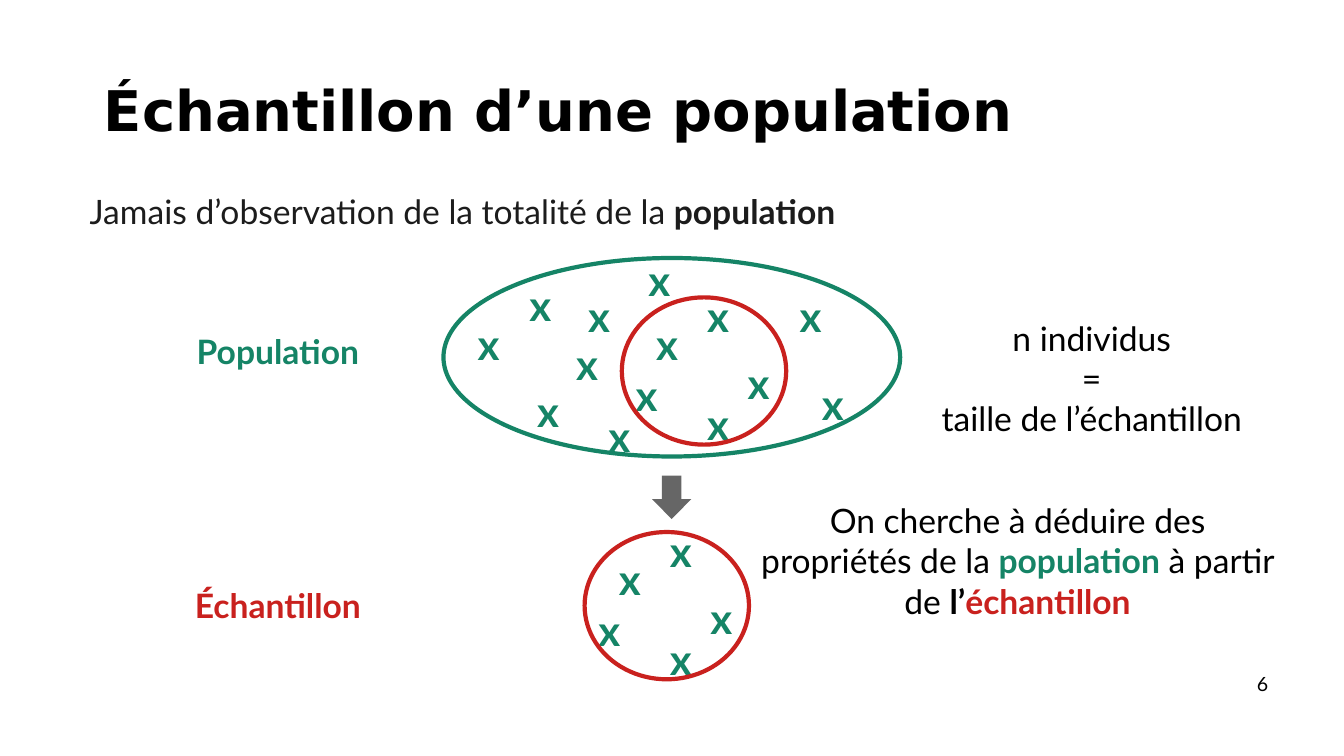
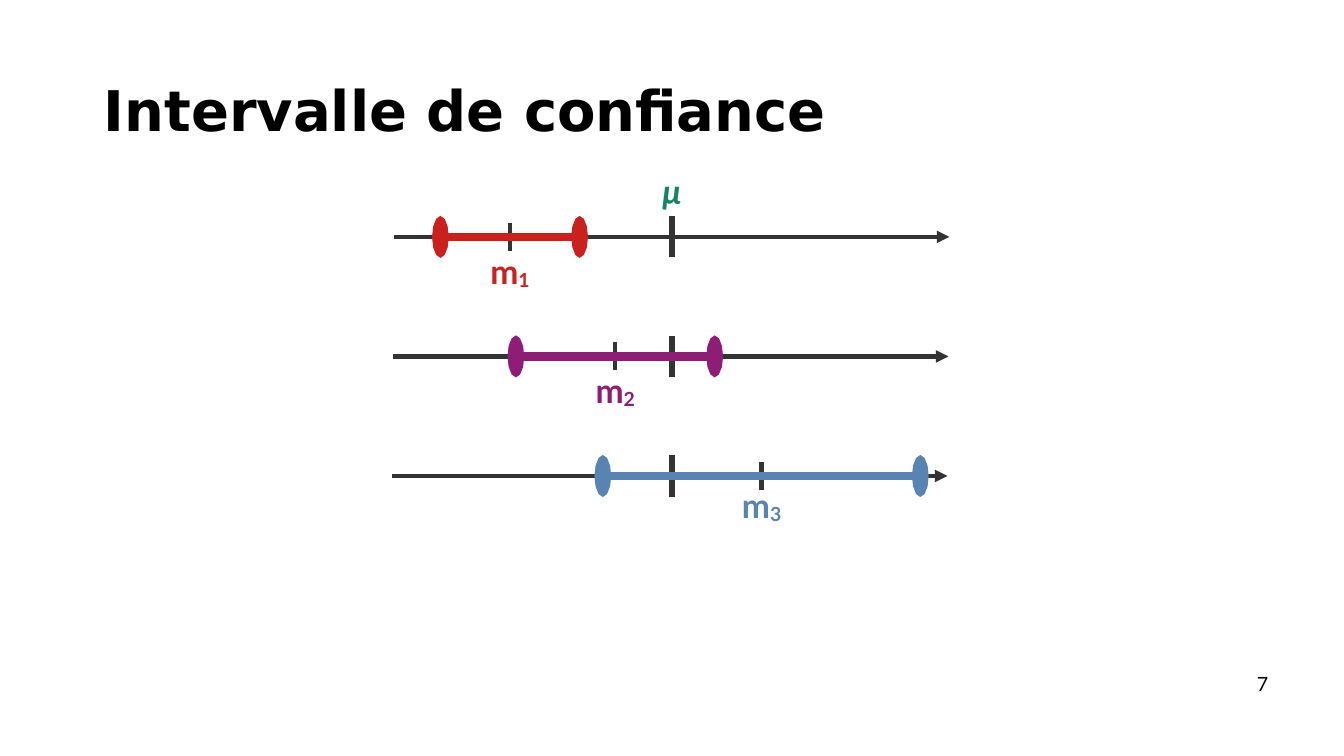
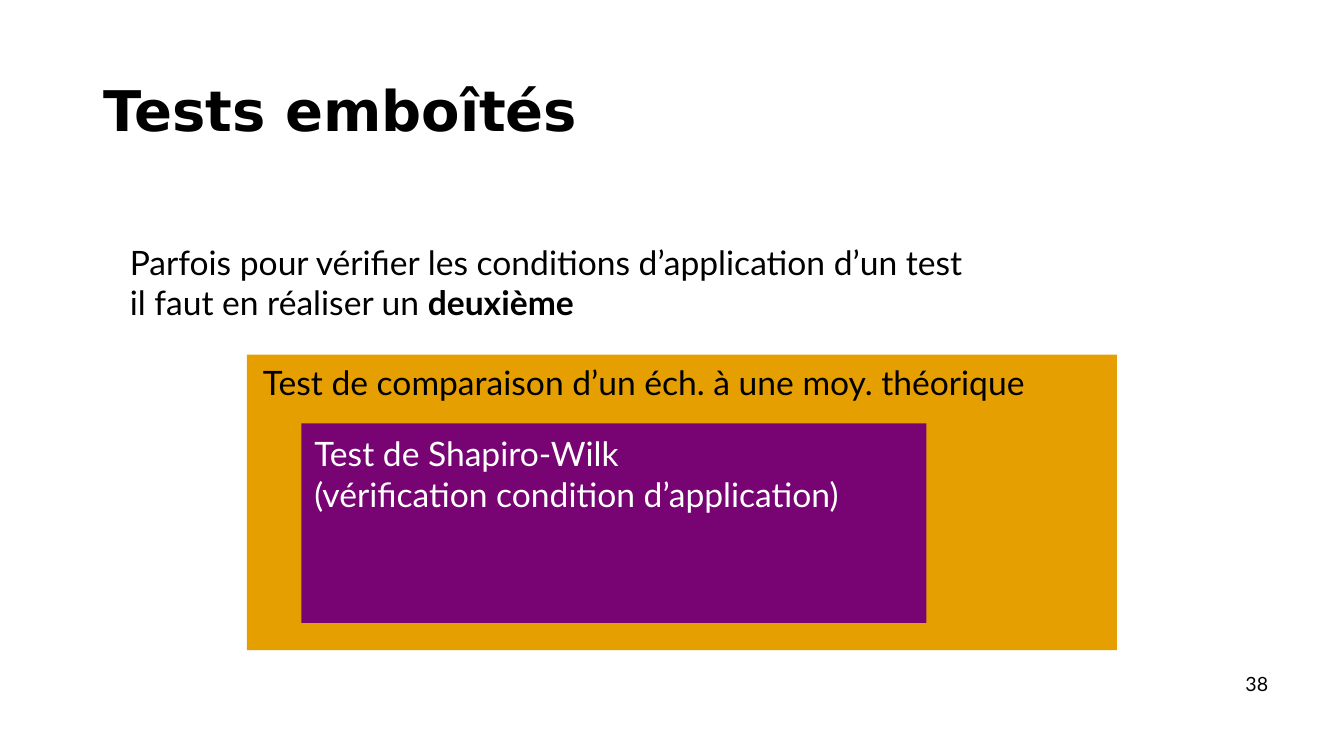
from lxml import etree
from pptx import Presentation
from pptx.dml.color import RGBColor
from pptx.enum.shapes import MSO_CONNECTOR, MSO_SHAPE
from pptx.enum.text import MSO_ANCHOR, MSO_AUTO_SIZE, PP_ALIGN
from pptx.oxml.ns import qn
from pptx.util import Pt

LEFT, CENTER, RIGHT = PP_ALIGN.LEFT, PP_ALIGN.CENTER, PP_ALIGN.RIGHT
OVAL, RECTANGLE, DOWN_ARROW = MSO_SHAPE.OVAL, MSO_SHAPE.RECTANGLE, MSO_SHAPE.DOWN_ARROW
STRAIGHT = MSO_CONNECTOR.STRAIGHT
TOP = MSO_ANCHOR.TOP
NO_AUTOFIT = MSO_AUTO_SIZE.NONE

BLACK = RGBColor(0x00, 0x00, 0x00)
WHITE = RGBColor(0xFF, 0xFF, 0xFF)
INK = RGBColor(0x1C, 0x1C, 0x1C)
AXIS_GRAY = RGBColor(0x33, 0x33, 0x33)
ARROW_GRAY = RGBColor(0x66, 0x66, 0x66)
GREEN = RGBColor(0x15, 0x84, 0x66)
RED = RGBColor(0xC9, 0x21, 0x1E)
PLUM = RGBColor(0x8D, 0x1D, 0x75)
BLUE = RGBColor(0x59, 0x83, 0xB0)
ORANGE = RGBColor(0xE6, 0x9F, 0x00)
PURPLE = RGBColor(0x78, 0x03, 0x73)

TITLE_FONT, TEXT_FONT = "DejaVu Sans", "Lato"


def write(slide, box, runs, color=BLACK, size=24, bold=None, align=LEFT):
    """Add a text box; runs are strings or (text, font settings) pairs, "\\n" breaks the line."""
    frame = slide.shapes.add_textbox(*map(Pt, box)).text_frame
    frame.word_wrap = True
    paragraph = frame.paragraphs[0]
    paragraph.alignment = align
    paragraph.font.name = TEXT_FONT
    paragraph.font.size = Pt(size)
    paragraph.font.bold = bold
    paragraph.font.color.rgb = color
    for item in runs:
        text, settings = (item, {}) if isinstance(item, str) else item
        for number, line_text in enumerate(text.split("\n")):
            if number:
                paragraph.add_line_break()
            run = paragraph.add_run()
            run.text = line_text
            if "color" in settings:
                run.font.color.rgb = settings["color"]
            if "bold" in settings:
                run.font.bold = settings["bold"]
            if "italic" in settings:
                run.font.italic = settings["italic"]
            if "baseline" in settings:
                run.font.size = Pt(size)
                run._r.get_or_add_rPr().set("baseline", settings["baseline"])


def draw_line(slide, start, end, color, width, ends=()):
    """Add a line; ends are (tag, type, width, length) of its heads."""
    connector = slide.shapes.add_connector(STRAIGHT, *map(Pt, (*start, *end)))
    connector.line.color.rgb = color
    connector.line.width = Pt(width)
    outline = connector.line._get_or_add_ln()
    for tag, kind, head_width, head_length in ends:
        etree.SubElement(outline, qn(tag), type=kind, w=head_width, len=head_length)
    etree.SubElement(connector._element.spPr, qn("a:effectLst"))


presentation = Presentation()
presentation.slide_width, presentation.slide_height = Pt(960), Pt(540)
title_only = presentation.slide_layouts[5]

slides = []
for heading, page in (
    ("Échantillon d’une population", "6"),
    ("Intervalle de confiance", "7"),
    ("Tests emboîtés", "38"),
):
    slide = presentation.slides.add_slide(title_only)
    title = slide.shapes.title
    title.left, title.top, title.width, title.height = map(Pt, (67, 55.5, 826, 57.5))
    title.text_frame.text = heading
    title.text_frame.vertical_anchor = TOP
    title.text_frame.auto_size = NO_AUTOFIT
    paragraph = title.text_frame.paragraphs[0]
    paragraph.alignment = LEFT
    paragraph.line_spacing = 0.9
    paragraph.font.name = TITLE_FONT
    paragraph.font.size = Pt(40)
    paragraph.font.bold = True
    paragraph.font.color.rgb = BLACK
    write(slide, (834.5, 476.5, 78.5, 24), [page], size=14, align=RIGHT)
    slides.append(slide)
sampling, intervals, nested = slides

# Sample of a population
write(sampling, (57, 133, 780, 37),
      ["Jamais d’observation de la totalité de la ", ("population", {"bold": True})], INK)

SAMPLE_SHIFT = (-26.6, 167.6)
sampled = [(527, 252), (498, 204), (447, 260.5), (461.5, 224), (498, 281)]
unsampled = [(564, 204), (413, 204), (376.5, 272), (404.5, 238.5), (456, 178.5),
             (580, 266.5), (334, 224), (371, 196), (427.5, 289.5)]
extracted = [(x + SAMPLE_SHIFT[0], y + SAMPLE_SHIFT[1]) for x, y in sampled]
for x, y in sampled + unsampled + extracted:
    write(sampling, (x, y, 42.5, 43), ["x"], GREEN, 30, True)

selection = (444.2, 212.4, 117.4, 105.2)
extracted_sample = (selection[0] + SAMPLE_SHIFT[0], selection[1] + SAMPLE_SHIFT[1], *selection[2:])
for box, color in (
    ((316.8, 184.3, 326.2, 141.8), GREEN),
    (selection, RED),
    (extracted_sample, RED),
):
    group_outline = sampling.shapes.add_shape(OVAL, *map(Pt, box))
    group_outline.shadow.inherit = False
    group_outline.fill.background()
    group_outline.line.color.rgb = color
    group_outline.line.width = Pt(3)

extraction = sampling.shapes.add_shape(DOWN_ARROW, Pt(465.8), Pt(339.8), Pt(28), Pt(31))
extraction.shadow.inherit = False
extraction.adjustments[0], extraction.adjustments[1] = 0.5, 0.51
extraction.fill.solid()
extraction.fill.fore_color.rgb = ARROW_GRAY
extraction.line.fill.background()

for label, top, color in (("Population", 232.5, GREEN), ("Échantillon", 414, RED)):
    write(sampling, (127.5, top, 142, 37), [label], color, bold=True, align=CENTER)
write(sampling, (652.3, 223.2, 255, 94), ["n individus\n=\ntaille de l’échantillon"], align=CENTER)
write(sampling, (535.7, 353.5, 382.3, 94),
      ["On cherche à déduire des propriétés de la ",
       ("population", {"color": GREEN, "bold": True}),
       " à partir de ",
       ("l’", {"bold": True}),
       ("échantillon", {"color": RED, "bold": True})], align=CENTER)

# Confidence intervals around three sample means
TRUE_MEAN = 480
LABEL_WIDTH = 42.5
ARROWHEAD = [("a:tailEnd", "triangle", "med", "med")]
BOUNDS = [("a:headEnd", "oval", "lg", "sm"), ("a:tailEnd", "oval", "lg", "sm")]

write(intervals, (TRUE_MEAN - LABEL_WIDTH / 2, 118.8, LABEL_WIDTH, 36),
      [("µ", {"italic": True})], GREEN, bold=True, align=CENTER)
for row, (mean, half_width, label_gap, color) in enumerate((
    (364.3, 49.7, 6.5, RED),
    (439.5, 71, 6.2, PLUM),
    (544, 113.4, 2.7, BLUE),
)):
    y = 169.2 + 85.4 * row
    axis_start = 281.5 - 0.7 * row
    draw_line(intervals, (axis_start, y), (axis_start + 396.7, y), AXIS_GRAY, 3, ARROWHEAD)
    for x, half_height, width in ((TRUE_MEAN, 14.7, 4.5), (mean, 10, 3)):
        draw_line(intervals, (x, y - half_height), (x, y + half_height), AXIS_GRAY, width)
    draw_line(intervals, (mean - half_width, y), (mean + half_width, y), color, 6, BOUNDS)
    write(intervals, (mean - LABEL_WIDTH / 2, y + label_gap, LABEL_WIDTH, 36),
          ["m", (str(row + 1), {"baseline": "-8000"})], color, bold=True, align=CENTER)

# Nested tests
write(nested, (85.7, 169.2, 664.5, 65),
      ["Parfois pour vérifier les conditions d’application d’un test\nil faut en réaliser un ",
       ("deuxième", {"bold": True})])
for frame_box, fill, text_box, text, color in (
    ((176.4, 253.4, 621.4, 211), ORANGE, (180.7, 254.9, 570, 36),
     "Test de comparaison d’un éch. à une moy. théorique", BLACK),
    ((215.3, 302.4, 446.4, 142.6), PURPLE, (217.4, 306, 406, 65),
     "Test de Shapiro-Wilk\n(vérification condition d’application)", WHITE),
):
    test_frame = nested.shapes.add_shape(RECTANGLE, *map(Pt, frame_box))
    test_frame.shadow.inherit = False
    test_frame.fill.solid()
    test_frame.fill.fore_color.rgb = fill
    test_frame.line.fill.background()
    write(nested, text_box, [text], color)

presentation.save("out.pptx")
